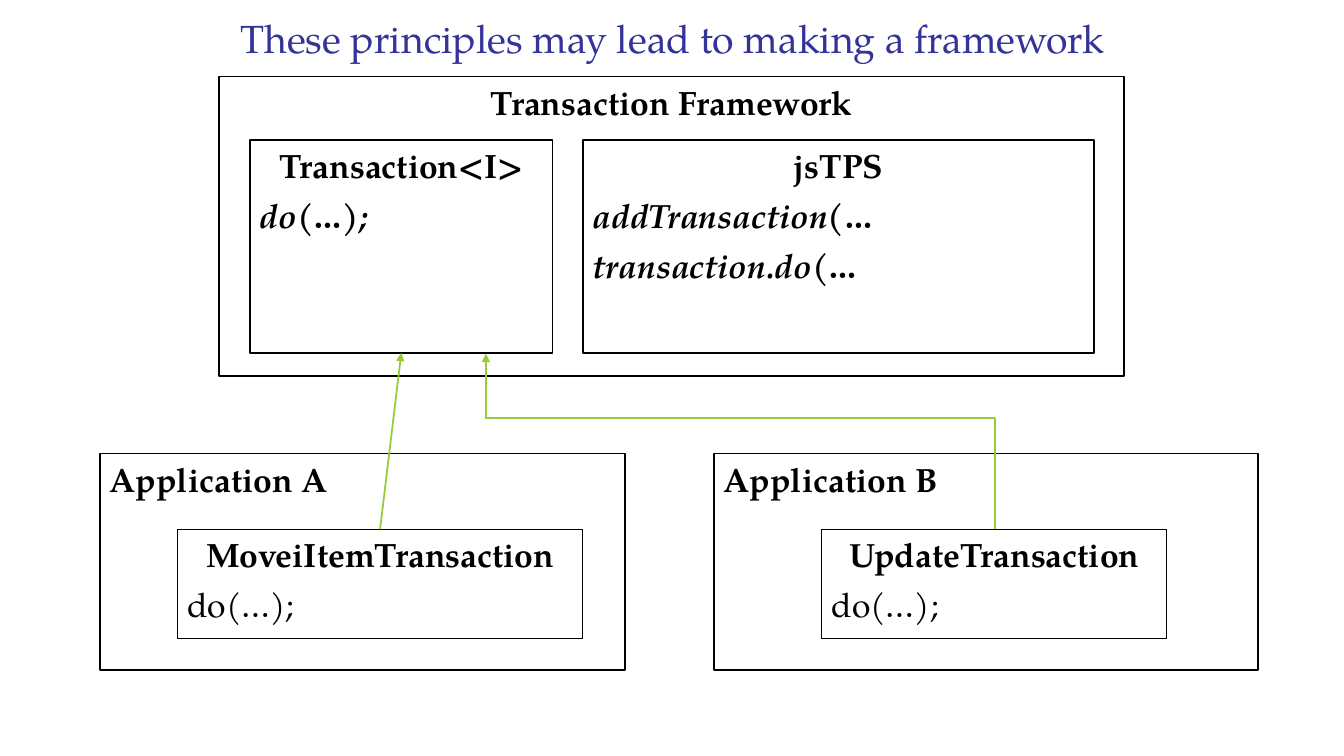
from dataclasses import dataclass

from lxml import etree
from pptx import Presentation
from pptx.dml.color import RGBColor as RGB
from pptx.enum.shapes import MSO_CONNECTOR as CONN, MSO_SHAPE as SHAPE
from pptx.enum.text import MSO_ANCHOR as ANCHOR, PP_ALIGN as ALIGN
from pptx.oxml.ns import qn
from pptx.util import Pt

PX = 9144  # 100 px to the inch


@dataclass(frozen=True)
class Theme:
    font: str = "TeX Gyre Pagella"
    title: RGB = RGB(0x33, 0x33, 0x99)
    ink: RGB = RGB(0, 0, 0)
    arrow: RGB = RGB(0x99, 0xCB, 0x38)
    title_size: int = 28
    body_size: int = 24
    thin: float = 0.75
    thick: float = 1.25


theme = Theme()


def write(p, text, size, color, space, bold=False, italic=False, align=ALIGN.LEFT):
    p.text = text
    p.alignment = align
    p.space_before = Pt(space)
    f = p.runs[0].font
    f.name, f.size, f.bold, f.italic = theme.font, Pt(size), bold, italic
    f.color.rgb = color


def connect(kind, x1, y1, x2, y2, head=False):
    c = slide.shapes.add_connector(kind, x1 * PX, y1 * PX, x2 * PX, y2 * PX)
    c.line.color.rgb = theme.arrow
    c.line.width = Pt(theme.thick)
    if head:
        etree.SubElement(c.line._get_or_add_ln(), qn("a:tailEnd"), type="triangle")
    etree.SubElement(c._element.spPr, qn("a:effectLst"))
    return c


prs = Presentation()
prs.slide_width, prs.slide_height = 1333 * PX, 750 * PX
slide = prs.slides.add_slide(prs.slide_layouts[6])

# Title
tf = slide.shapes.add_textbox(200 * PX, -1 * PX, 933 * PX, 77 * PX).text_frame
tf.word_wrap = True
tf.vertical_anchor = ANCHOR.MIDDLE
write(tf.paragraphs[0], "These principles may lead to making a framework",
      theme.title_size, theme.title, 11.2, align=ALIGN.CENTER)

# Boxes: heading, its alignment, place, line width, members, members in bold italic
boxes = [
    ("Application A", ALIGN.LEFT, (99, 450, 521, 215), theme.thick, [], False),
    ("Application B", ALIGN.LEFT, (708, 450, 540, 215), theme.thick, [], False),
    ("Transaction Framework", ALIGN.CENTER, (217, 76, 898, 297), theme.thick, [], False),
    ("Transaction<I>", ALIGN.CENTER, (248, 139, 300, 211), theme.thick,
     ["do(…);"], True),
    ("jsTPS", ALIGN.CENTER, (578, 139, 507, 211), theme.thick,
     ["addTransaction(…", "transaction.do(…"], True),
    ("MoveiItemTransaction", ALIGN.CENTER, (176, 525, 402, 108), theme.thin,
     ["do(…);"], False),
    ("UpdateTransaction", ALIGN.CENTER, (815, 525, 342, 108), theme.thin,
     ["do(…);"], False),
]
shapes = {}
for heading, align, place, width, members, strong in boxes:
    sp = slide.shapes.add_shape(SHAPE.RECTANGLE, *(v * PX for v in place))
    sp.shadow.inherit = False
    sp.fill.background()
    sp.line.color.rgb = theme.ink
    sp.line.width = Pt(width)
    tf = sp.text_frame
    tf.word_wrap = True
    tf.vertical_anchor = ANCHOR.TOP
    write(tf.paragraphs[0], heading, theme.body_size, theme.ink, 7, bold=True, align=align)
    for member in members:
        write(tf.add_paragraph(), member, theme.body_size, theme.ink, 7, strong, strong)
    shapes[heading] = sp

# Arrow from application A
move = connect(CONN.STRAIGHT, 377, 525, 398, 350, head=True)
move.begin_connect(shapes["MoveiItemTransaction"], 0)
move.end_connect(shapes["Transaction<I>"], 2)

# Arrow from application B: an elbow turned to run up and then left, and a last rise
elbow = connect(CONN.ELBOW, 679, 722, 789, 217)
spPr = elbow._element.spPr
spPr.find(qn("a:xfrm")).set("rot", str(270 * 60000))
spPr.find(qn("a:prstGeom")).set("prst", "bentConnector2")
connect(CONN.STRAIGHT, 482, 414, 482, 351, head=True)

prs.save("out.pptx")
